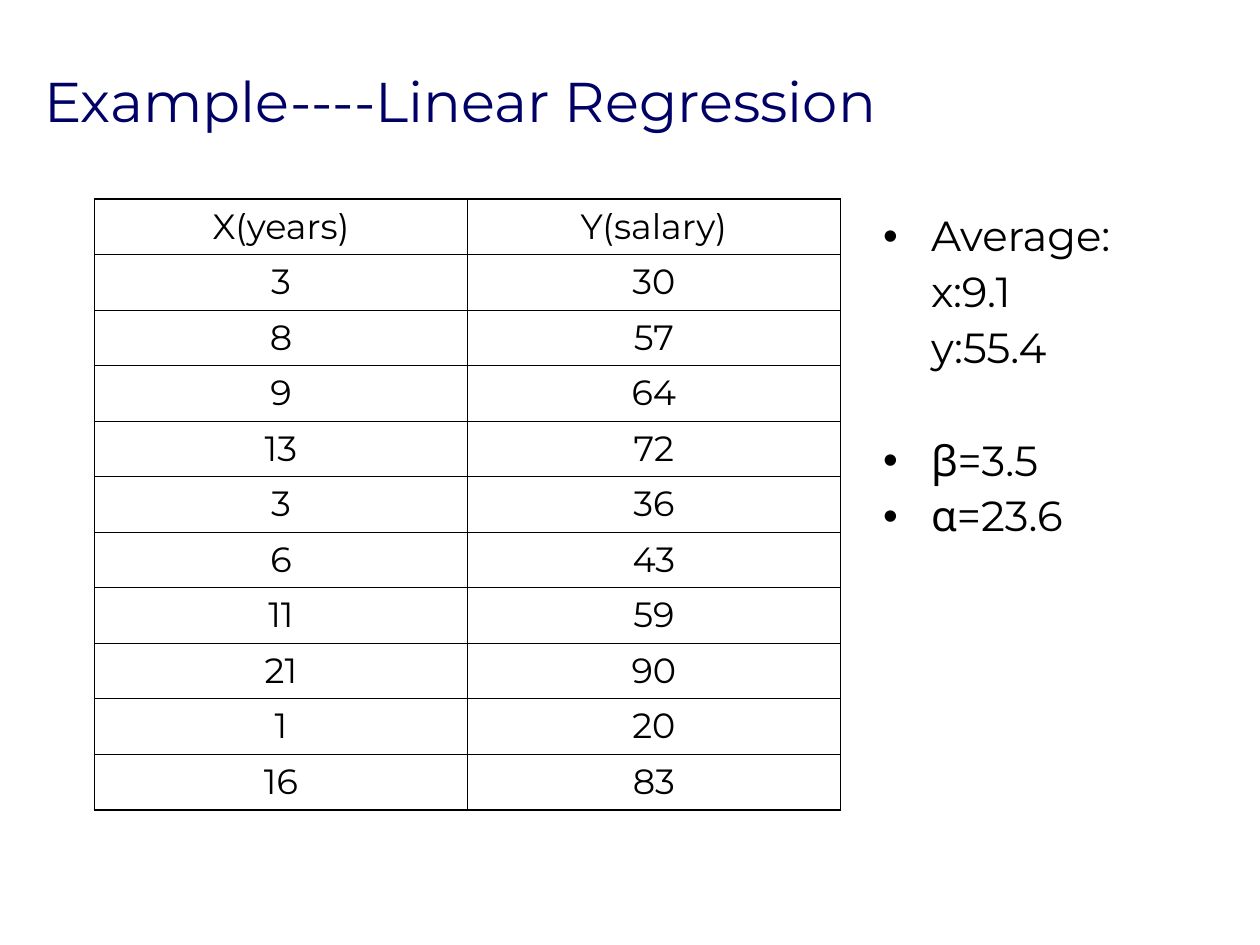
import pptx
import pptx.util
import pptx.dml.color
import pptx.enum.text
import pptx.oxml
import pptx.oxml.ns

Inches = pptx.util.Inches
Pt = pptx.util.Pt
Align = pptx.enum.text.PP_ALIGN
Anchor = pptx.enum.text.MSO_ANCHOR
Fit = pptx.enum.text.MSO_AUTO_SIZE

NAVY = pptx.dml.color.RGBColor(0x00, 0x00, 0x66)
BLACK = pptx.dml.color.RGBColor(0x00, 0x00, 0x00)
FONT = "Montserrat"
OUTER, INNER = Pt(1.08), Pt(0.45)

DATA = [
    ("X(years)", "Y(salary)"),
    (3, 30), (8, 57), (9, 64), (13, 72), (3, 36),
    (6, 43), (11, 59), (21, 90), (1, 20), (16, 83),
]
# Text, bulleted, space before in points
NOTES = [
    ("Average:", True, 6),
    ("x:9.1", False, 6),
    ("y:55.4", False, 6),
    ("β=3.5", True, 38.4),
    ("α=23.6", True, 6),
]


def style(para, size, color):
    for run in para.runs:
        run.font.name = FONT
        run.font.size = Pt(size)
        run.font.color.rgb = color


def place(shape, box):
    shape.left, shape.top, shape.width, shape.height = map(Inches, box)


def add_title(slide, box):
    title = slide.shapes.title
    place(title, box)
    frame = title.text_frame
    frame.text = "Example----Linear Regression"
    frame.auto_size = Fit.NONE
    frame.vertical_anchor = Anchor.BOTTOM
    para = frame.paragraphs[0]
    para.alignment = Align.LEFT
    style(para, 32, NAVY)


def add_notes(slide, box):
    body = slide.placeholders[1]
    place(body, box)
    frame = body.text_frame
    frame.text = "\n".join(text for text, _, _ in NOTES)
    frame.auto_size = Fit.NONE
    for para, (_, bullet, gap) in zip(frame.paragraphs, NOTES):
        para.line_spacing = 0.9
        para.space_before = Pt(gap)
        style(para, 24, BLACK)
        # Hanging indent, with plain lines aligned to the bulleted text
        props = para._p.get_or_add_pPr()
        props.set("marL", str(Inches(0.38)))
        props.set("indent", str(Inches(-0.38) if bullet else 0))
        if not bullet:
            props.append(pptx.oxml.parse_xml(
                f"<a:buNone {pptx.oxml.ns.nsdecls('a')}/>"))


def set_borders(cell, widths):
    props = cell._tc.get_or_add_tcPr()
    for spot, (side, width) in enumerate(zip("LRTB", widths)):
        props.insert(spot, pptx.oxml.parse_xml(
            f'<a:ln{side} {pptx.oxml.ns.nsdecls("a")} w="{width}"><a:solidFill>'
            f'<a:srgbClr val="{BLACK}"/></a:solidFill></a:ln{side}>'))


def add_grid(slide, box):
    rows, cols = len(DATA), len(DATA[0])
    table = slide.shapes.add_table(rows, cols, *map(Inches, box)).table
    table.first_row = table.horz_banding = False
    for r, values in enumerate(DATA):
        for c, value in enumerate(values):
            cell = table.cell(r, c)
            cell.text = str(value)
            cell.fill.background()
            para = cell.text_frame.paragraphs[0]
            para.alignment = Align.CENTER
            para.space_before = Pt(5)
            style(para, 20, BLACK)
            edges = (c == 0, c == cols - 1, r == 0, r == rows - 1)
            set_borders(cell, [OUTER if edge else INNER for edge in edges])


def main():
    deck = pptx.Presentation()
    deck.slide_width, deck.slide_height = Inches(10), Inches(7.5)
    slide = deck.slides.add_slide(deck.slide_layouts[1])
    add_title(slide, (0.25, 0.53, 9.42, 0.58))
    add_notes(slide, (6.91, 1.66, 2.58, 5.17))
    add_grid(slide, (0.75, 1.58, 5.92, 4.77))
    deck.save("out.pptx")


if __name__ == "__main__":
    main()
